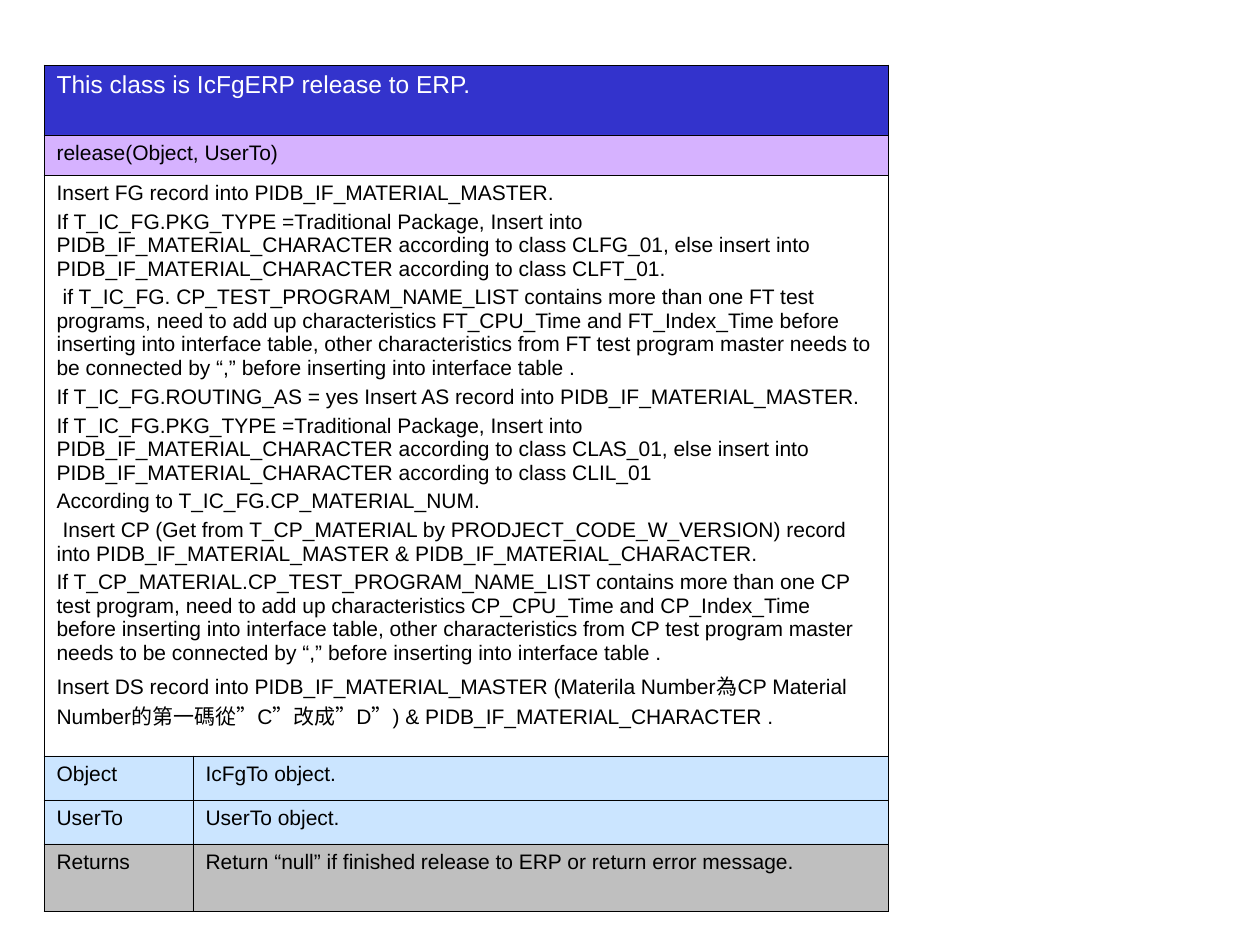
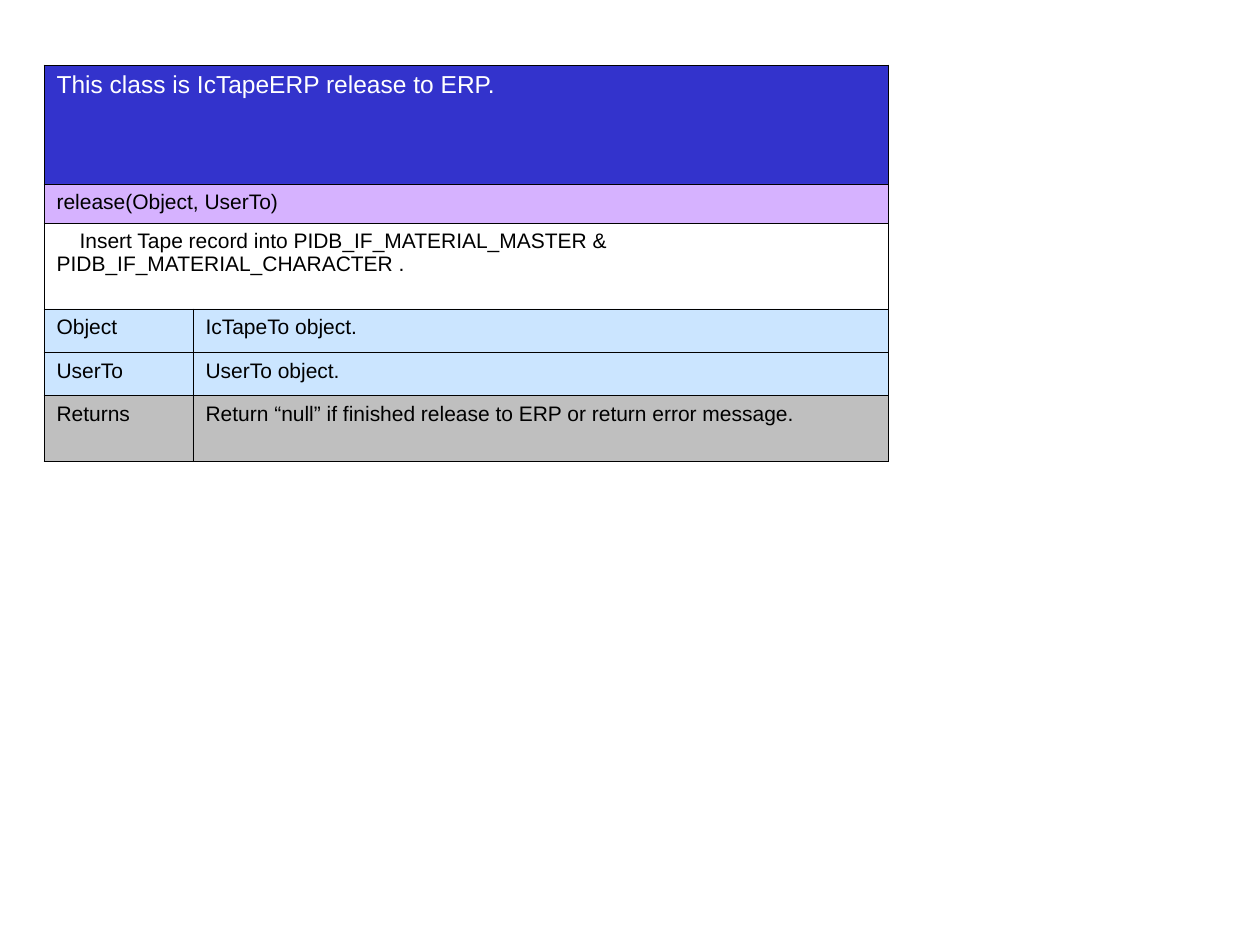
from lxml.etree import SubElement
from pptx import Presentation
from pptx.dml.color import RGBColor
from pptx.oxml import parse_xml
from pptx.oxml.ns import nsdecls, qn
from pptx.util import Pt

PX = 914400 / 126
FONT = "Arial"
BLACK, WHITE = "000000", "FFFFFF"
CLASS_FILL, METHOD_FILL, PARAMETER_FILL, RETURN_FILL = "3333CC", "AF67FF", "99CCFF", "808080"
SPEC_LEFT, SPEC_TOP = 44, 65
COLUMN_WIDTHS = (149, 695)

FG_STEPS = [
    (0, "Insert FG record into PIDB_IF_MATERIAL_MASTER."),
    (0, "If T_IC_FG.PKG_TYPE =Traditional Package, Insert into PIDB_IF_MATERIAL_CHARACTER "
        "according to class CLFG_01, else insert into PIDB_IF_MATERIAL_CHARACTER "
        "according to class CLFT_01."),
    (6, "if T_IC_FG. CP_TEST_PROGRAM_NAME_LIST contains more than one FT test programs, "
        "need to add up characteristics FT_CPU_Time and FT_Index_Time before inserting into "
        "interface table, other characteristics from FT test program master needs to be "
        "connected by “,” before inserting into interface table ."),
    (0, "If T_IC_FG.ROUTING_AS = yes Insert AS record into PIDB_IF_MATERIAL_MASTER."),
    (0, "If T_IC_FG.PKG_TYPE =Traditional Package, Insert into PIDB_IF_MATERIAL_CHARACTER "
        "according to class CLAS_01, else insert into PIDB_IF_MATERIAL_CHARACTER "
        "according to class CLIL_01"),
    (0, "According to T_IC_FG.CP_MATERIAL_NUM."),
    (6, "Insert CP (Get from T_CP_MATERIAL by PRODJECT_CODE_W_VERSION) record into "
        "PIDB_IF_MATERIAL_MASTER & PIDB_IF_MATERIAL_CHARACTER."),
    (0, "If T_CP_MATERIAL.CP_TEST_PROGRAM_NAME_LIST contains more than one CP test program, "
        "need to add up characteristics CP_CPU_Time and CP_Index_Time before inserting into "
        "interface table, other characteristics from CP test program master needs to be "
        "connected by “,” before inserting into interface table ."),
    (0, "Insert DS record into PIDB_IF_MATERIAL_MASTER (Materila Number為CP Material "
        "Number的第一碼從”C”改成”D”) & PIDB_IF_MATERIAL_CHARACTER ."),
]
TAPE_STEPS = [
    (23, "Insert Tape record into PIDB_IF_MATERIAL_MASTER & PIDB_IF_MATERIAL_CHARACTER ."),
]


def px(length):
    """Turn pixels into EMU."""
    return round(length * PX)


def rgb(color):
    """Turn a hex string into a colour."""
    return RGBColor.from_string(color)


def outline_cell(cell):
    """Draw a thin black border on every side of a cell."""
    properties = cell._tc.get_or_add_tcPr()
    for position, side in enumerate(("lnL", "lnR", "lnT", "lnB")):
        properties.insert(position, parse_xml(
            f'<a:{side} {nsdecls("a")} w="5715"><a:solidFill><a:srgbClr val="{BLACK}"/>'
            f'</a:solidFill></a:{side}>'))


def fill_cell(cell, color, opacity):
    """Fill a cell with a colour at an opacity in percent, or leave it clear."""
    if color is None:
        cell.fill.background()
        return
    cell.fill.solid()
    cell.fill.fore_color.rgb = rgb(color)
    if opacity < 100:
        tint = cell._tc.tcPr.find(qn("a:solidFill")).find(qn("a:srgbClr"))
        SubElement(tint, qn("a:alpha"), val=str(opacity * 1000))


def write_cell(cell, steps, size=12, color=BLACK):
    """Write (indent, text) paragraphs in a cell."""
    frame = cell.text_frame
    for number, (indent, text) in enumerate(steps):
        paragraph = frame.add_paragraph() if number else frame.paragraphs[0]
        paragraph.text = text
        paragraph.space_before = Pt(size / 4)
        paragraph.font.name = FONT
        paragraph.font.size = Pt(size)
        paragraph.font.color.rgb = rgb(color)
        if indent:
            paragraph._p.get_or_add_pPr().set("indent", str(px(indent)))


def add_class_spec(slide, left, top, class_name, steps, object_type, row_heights):
    """Place the table that describes one class and its release method."""
    rows = [
        ([[(0, f"This class is {class_name} release to ERP.")]], CLASS_FILL, 100),
        ([[(0, "release(Object, UserTo)")]], METHOD_FILL, 50),
        ([steps], None, 100),
        ([[(0, "Object")], [(0, f"{object_type} object.")]], PARAMETER_FILL, 50),
        ([[(0, "UserTo")], [(0, "UserTo object.")]], PARAMETER_FILL, 50),
        ([[(0, "Returns")],
          [(0, "Return “null” if finished release to ERP or return error message.")]],
         RETURN_FILL, 50),
    ]
    table = slide.shapes.add_table(
        len(rows), len(COLUMN_WIDTHS), px(left), px(top),
        px(sum(COLUMN_WIDTHS)), px(sum(row_heights))).table
    table.first_row = table.horz_banding = False
    for column, width in zip(table.columns, COLUMN_WIDTHS):
        column.width = px(width)
    for index, (entries, fill, opacity) in enumerate(rows):
        table.rows[index].height = px(row_heights[index])
        cells = list(table.rows[index].cells)
        if len(entries) == 1:
            cells[0].merge(cells[-1])
        for cell in cells:
            outline_cell(cell)
            fill_cell(cell, fill, opacity)
        for cell, entry in zip(cells, entries):
            if index == 0:
                write_cell(cell, entry, 14, WHITE)
            else:
                write_cell(cell, entry)


def main():
    """Build one slide for each class."""
    deck = Presentation()
    deck.slide_width, deck.slide_height = px(1260), px(945)
    specs = [
        ("IcFgERP", FG_STEPS, "IcFgTo", (70, 40, 581, 44, 44, 68)),
        ("IcTapeERP", TAPE_STEPS, "IcTapeTo", (119, 39, 86, 44, 43, 66)),
    ]
    for spec in specs:
        slide = deck.slides.add_slide(deck.slide_layouts[6])
        add_class_spec(slide, SPEC_LEFT, SPEC_TOP, *spec)
    deck.save("out.pptx")


if __name__ == "__main__":
    main()
